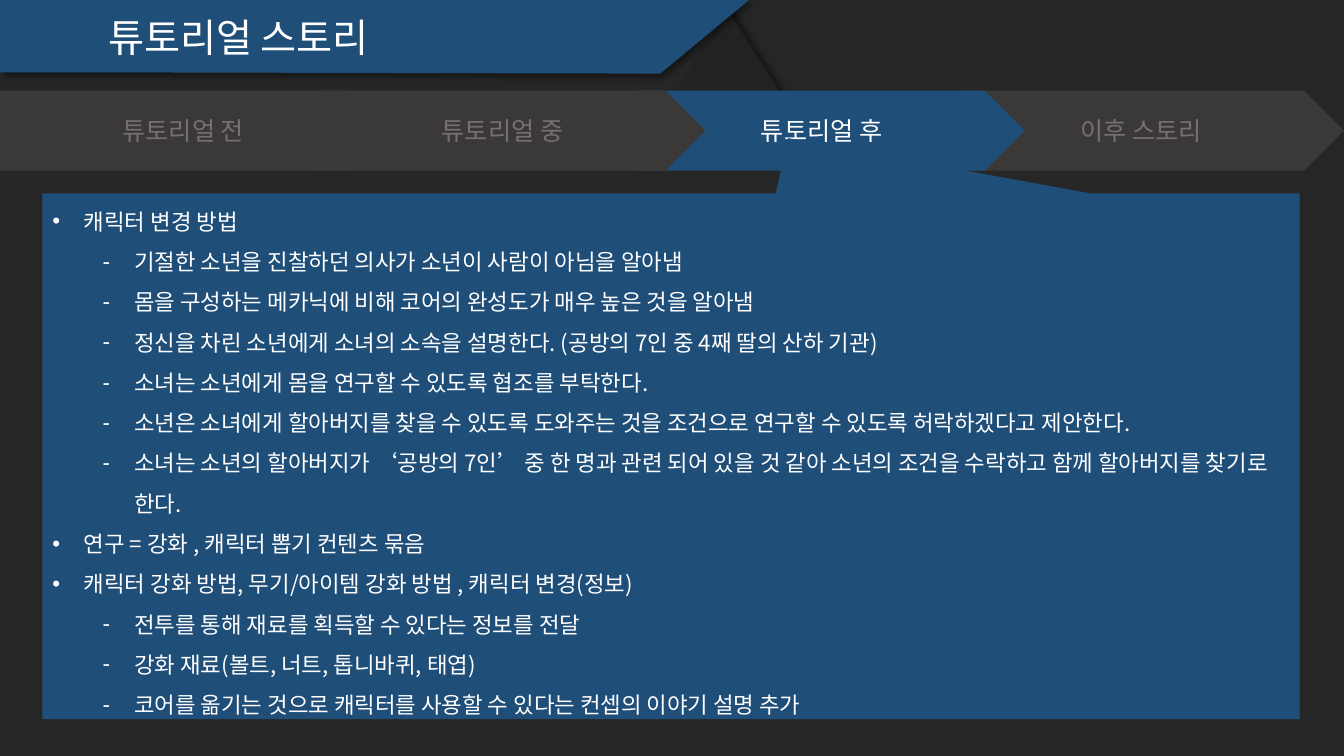
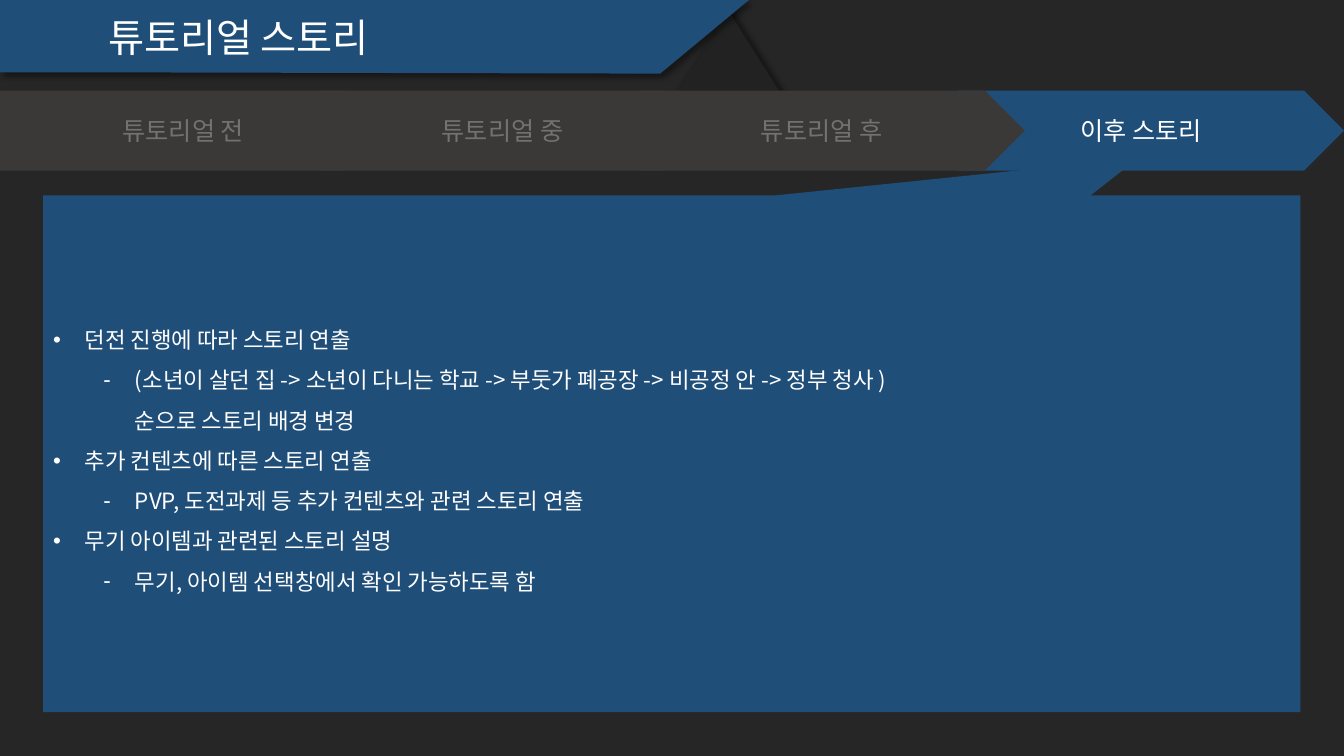
"""Build the two tutorial story slides."""
from dataclasses import dataclass
from typing import NamedTuple

from lxml import etree
from pptx import Presentation
from pptx import util as u
from pptx.dml.color import RGBColor
from pptx.enum import shapes, text
from pptx.oxml.ns import qn


@dataclass(frozen=True)
class Theme:
    font: str = "Noto Sans CJK KR"
    background: str = "262626"
    backdrop: str = "222222"
    accent: str = "1F4E79"
    idle: str = "3B3838"
    idle_text: str = "767171"
    light_text: str = "FFFFFF"
    shadow: str = "000000"
    title_size: int = 28
    step_size: int = 18
    body_size: int = 16


class Box(NamedTuple):
    left: float
    top: float
    width: float
    height: float

    def lengths(self) -> tuple:
        return tuple(u.Pt(value) for value in self)


class Item(NamedTuple):
    text: str
    level: int = 0


class Story(NamedTuple):
    active_step: int
    box: Box
    pointer: tuple
    items: tuple


THEME = Theme()
TITLE = "튜토리얼 스토리"
TITLE_BOX = Box(70, 6, 223, 41)
TRIANGLE_BOX = Box(473, 8, 95, 75)
BANNER_OUTLINE = ((535, 0), (471.6, 52.6), (111.6, 51.8), (0, 51.8))
STEPS = ("튜토리얼 전", "튜토리얼 중", "튜토리얼 후", "이후 스토리")
STEP_BOX = Box(0, 64.8, 276, 57)
STEP_PITCH = 228
BULLETS = ("•", "-")
BULLET_INDENT = 22.5
LEVEL_INDENT = 36

STORIES = (
    Story(2, Box(30.3, 138.1, 898, 375.6), (0.093, -0.605), (
        Item("캐릭터 변경 방법"),
        Item("기절한 소년을 진찰하던 의사가 소년이 사람이 아님을 알아냄", 1),
        Item("몸을 구성하는 메카닉에 비해 코어의 완성도가 매우 높은 것을 알아냄", 1),
        Item("정신을 차린 소년에게 소녀의 소속을 설명한다. (공방의 7인 중 4째 딸의 산하 기관)", 1),
        Item("소녀는 소년에게 몸을 연구할 수 있도록 협조를 부탁한다.", 1),
        Item("소년은 소녀에게 할아버지를 찾을 수 있도록 도와주는 것을 조건으로 "
             "연구할 수 있도록 허락하겠다고 제안한다.", 1),
        Item("소녀는 소년의 할아버지가 ‘공방의 7인’ 중 한 명과 관련 되어 있을 것 같아 "
             "소년의 조건을 수락하고 함께 할아버지를 찾기로 한다.", 1),
        Item("연구 = 강화 , 캐릭터 뽑기 컨텐츠 묶음"),
        Item("캐릭터 강화 방법, 무기/아이템 강화 방법 , 캐릭터 변경(정보)"),
        Item("전투를 통해 재료를 획득할 수 있다는 정보를 전달", 1),
        Item("강화 재료(볼트, 너트, 톱니바퀴, 태엽)", 1),
        Item("코어를 옮기는 것으로 캐릭터를 사용할 수 있다는 컨셉의 이야기 설명 추가", 1),
    )),
    Story(3, Box(30.8, 139.5, 898, 369.2), (0.371, -0.572), (
        Item("던전 진행에 따라 스토리 연출"),
        Item("(소년이 살던 집 -> 소년이 다니는 학교 -> 부둣가 폐공장 -> 비공정 안 -> 정부 청사 ) "
             "\v순으로 스토리 배경 변경", 1),
        Item("추가 컨텐츠에 따른 스토리 연출"),
        Item("PVP, 도전과제 등 추가 컨텐츠와 관련 스토리 연출", 1),
        Item("무기 아이템과 관련된 스토리 설명"),
        Item("무기, 아이템 선택창에서 확인 가능하도록 함", 1),
    )),
)


def paint(shape, color: str) -> None:
    shape.shadow.inherit = False
    shape.fill.solid()
    shape.fill.fore_color.rgb = RGBColor.from_string(color)
    shape.line.fill.background()


def cast_shadow(shape, degrees: int) -> None:
    effects = shape.element.spPr.find(qn("a:effectLst"))
    shadow = etree.SubElement(
        effects, qn("a:outerShdw"), blurRad=str(u.Pt(4)), dist=str(u.Pt(3)),
        dir=str(degrees * 60000), algn="ctr", rotWithShape="0")
    color = etree.SubElement(shadow, qn("a:srgbClr"), val=THEME.shadow)
    etree.SubElement(color, qn("a:alpha"), val="40000")


def style_text(shape, size: int, color: str, alignment) -> None:
    for paragraph in shape.text_frame.paragraphs:
        paragraph.alignment = alignment
        paragraph.font.size = u.Pt(size)
        paragraph.font.name = THEME.font
        paragraph.font.color.rgb = RGBColor.from_string(color)
    for latin in list(shape.element.iter(qn("a:latin"))):
        latin.addnext(etree.Element(qn("a:ea"), typeface=THEME.font))


def add_bullet(paragraph, level: int) -> None:
    paragraph.level = level
    paragraph.line_spacing = 1.5
    properties = paragraph._p.get_or_add_pPr()
    properties.set("marL", str(u.Pt(BULLET_INDENT + LEVEL_INDENT * level)))
    properties.set("indent", str(u.Pt(-BULLET_INDENT)))
    etree.SubElement(properties, qn("a:buFont"), typeface="Arial")
    etree.SubElement(properties, qn("a:buChar"), char=BULLETS[level])


def decorate_layout(layout, slide) -> None:
    """Draw the banner on a slide and move it to the layout they all share."""
    for placeholder in list(layout.placeholders):
        if placeholder.placeholder_format.type != shapes.PP_PLACEHOLDER.TITLE:
            placeholder.element.getparent().remove(placeholder.element)
    triangle = slide.shapes.add_shape(
        shapes.MSO_SHAPE.ISOSCELES_TRIANGLE, *TRIANGLE_BOX.lengths())
    builder = slide.shapes.build_freeform(0, 0)
    builder.add_line_segments([(u.Pt(x), u.Pt(y)) for x, y in BANNER_OUTLINE])
    banner = builder.convert_to_shape()
    layout_title = layout.placeholders[0].element
    for shape, color, degrees in ((triangle, THEME.backdrop, 315),
                                  (banner, THEME.accent, 45)):
        paint(shape, color)
        cast_shadow(shape, degrees)
        layout_title.addprevious(shape.element)


def set_title(slide) -> None:
    title = slide.shapes.title
    title.left, title.top, title.width, title.height = TITLE_BOX.lengths()
    frame = title.text_frame
    frame.text = TITLE
    frame.word_wrap = True
    frame.auto_size = text.MSO_AUTO_SIZE.NONE
    frame.vertical_anchor = text.MSO_ANCHOR.TOP
    style_text(title, THEME.title_size, THEME.light_text, text.PP_ALIGN.LEFT)


def add_steps(slide, active_step: int) -> None:
    group = slide.shapes.add_group_shape()
    for index, label in reversed(list(enumerate(STEPS))):
        active = index == active_step
        box = STEP_BOX._replace(left=index * STEP_PITCH)
        step = group.shapes.add_shape(shapes.MSO_SHAPE.PENTAGON, *box.lengths())
        paint(step, THEME.accent if active else THEME.idle)
        step.text_frame.text = label
        style_text(step, THEME.step_size,
                   THEME.light_text if active else THEME.idle_text,
                   text.PP_ALIGN.CENTER)


def add_story(slide, story: Story) -> None:
    callout = slide.shapes.add_shape(
        shapes.MSO_SHAPE.RECTANGULAR_CALLOUT, *story.box.lengths())
    callout.adjustments[0], callout.adjustments[1] = story.pointer
    paint(callout, THEME.accent)
    frame = callout.text_frame
    frame.word_wrap = True
    frame.vertical_anchor = text.MSO_ANCHOR.MIDDLE
    for index, item in enumerate(story.items):
        paragraph = frame.add_paragraph() if index else frame.paragraphs[0]
        paragraph.text = item.text
        add_bullet(paragraph, item.level)
    style_text(callout, THEME.body_size, THEME.light_text, text.PP_ALIGN.LEFT)


def main() -> None:
    presentation = Presentation()
    presentation.slide_width, presentation.slide_height = u.Pt(960), u.Pt(540)
    background = presentation.slide_master.background.fill
    background.solid()
    background.fore_color.rgb = RGBColor.from_string(THEME.background)
    layout = presentation.slide_layouts.get_by_name("Title Only")
    slides = [presentation.slides.add_slide(layout) for _ in STORIES]
    decorate_layout(layout, slides[0])
    for slide, story in zip(slides, STORIES):
        set_title(slide)
        add_steps(slide, story.active_step)
        add_story(slide, story)
    presentation.save("out.pptx")


if __name__ == "__main__":
    main()
